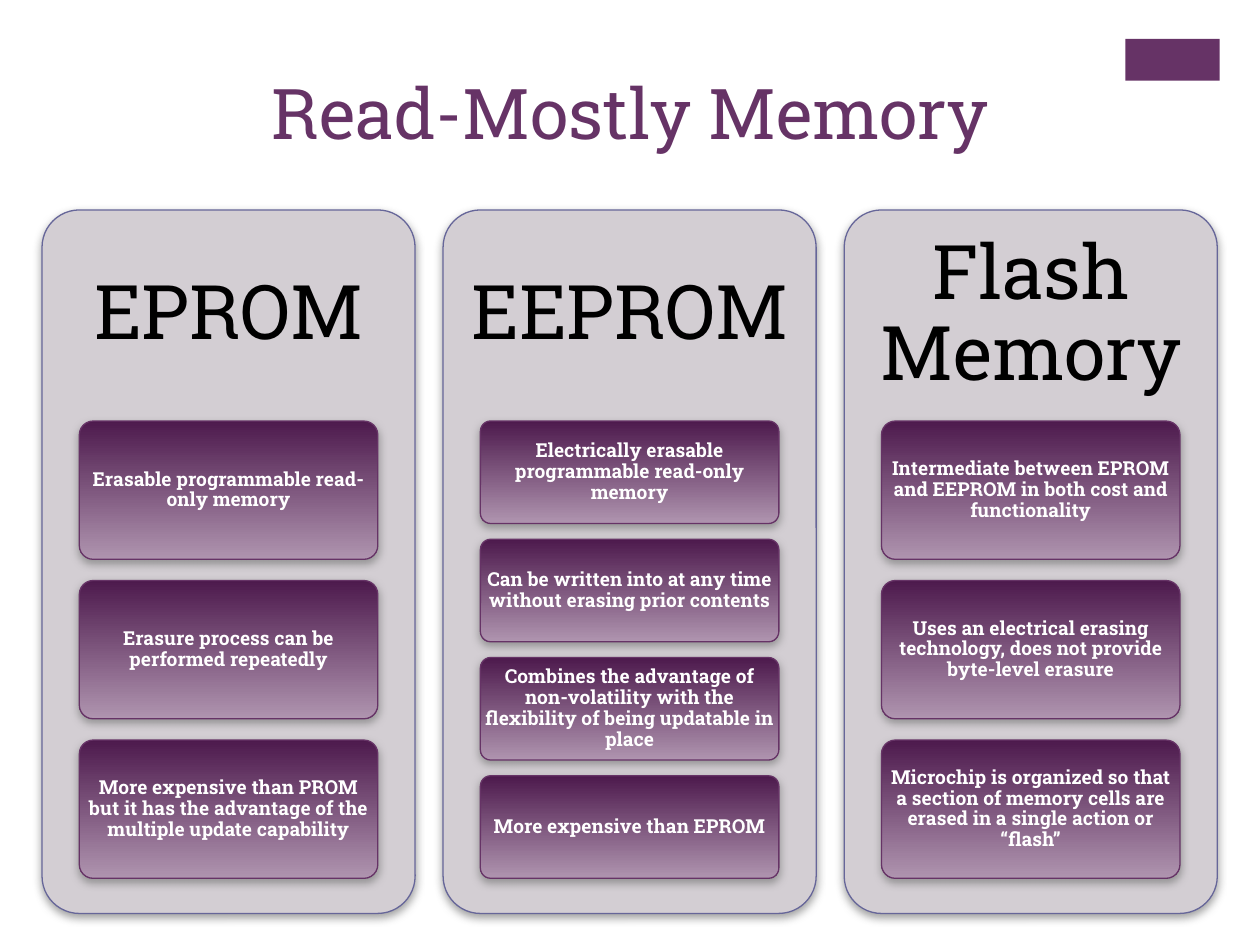
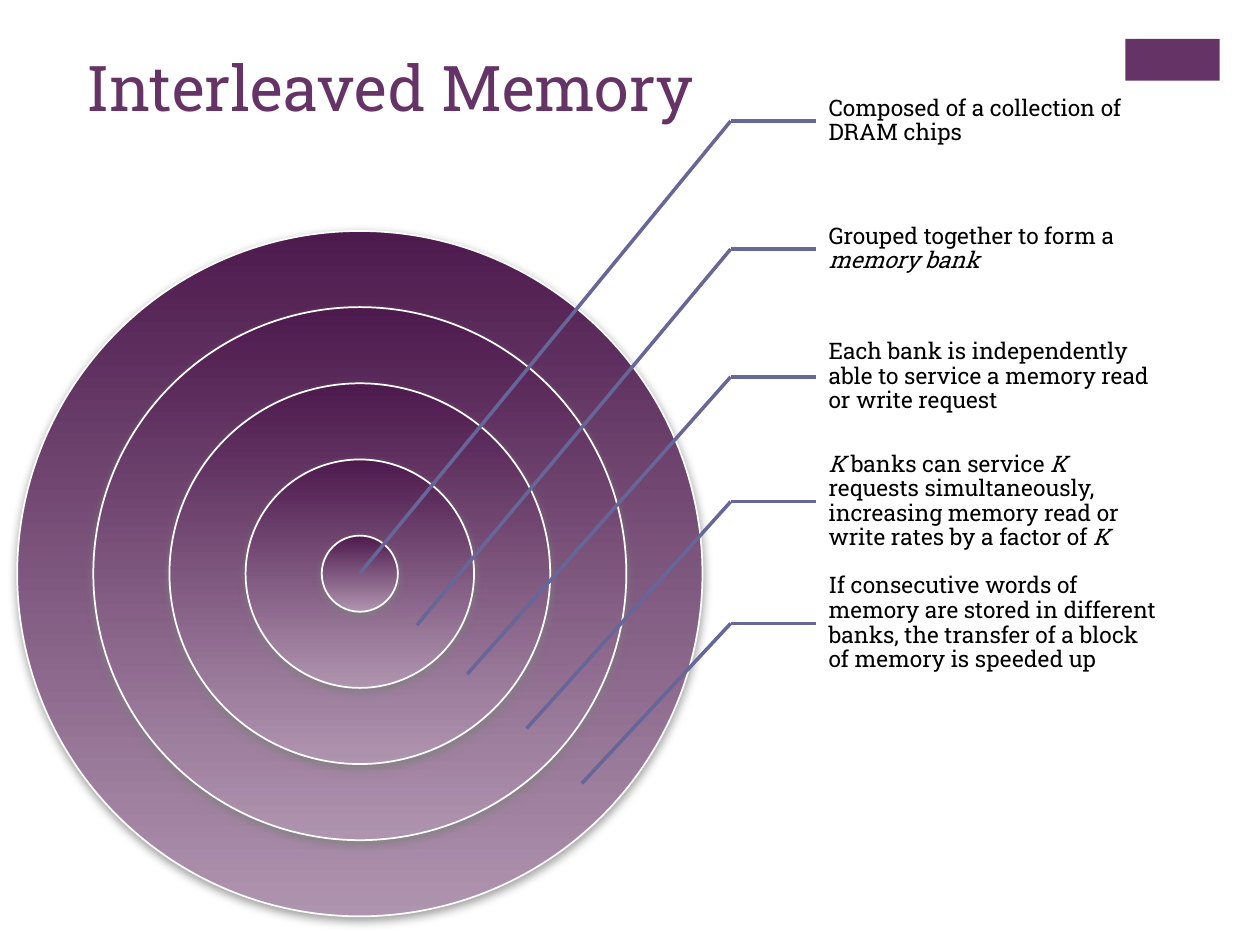
import pptx
import pptx.util
import pptx.dml.color
import pptx.enum.shapes
import pptx.enum.text
import pptx.oxml
import pptx.oxml.ns

Pt = pptx.util.Pt
SHAPE = pptx.enum.shapes.MSO_SHAPE
ALIGN = pptx.enum.text.PP_ALIGN
ANCHOR = pptx.enum.text.MSO_ANCHOR

# Shared style
FONT = "Roboto Slab"
PURPLE, DARK_PURPLE, LIGHT_PURPLE = "663366", "4D1A4D", "AF94AF"
SLATE, PANEL_GREY, SHADOW_GREY = "666699", "D3CED3", "808080"
WHITE, BLACK = "FFFFFF", "000000"

# Wording
MEMORY_TYPES = [
    ("EPROM", [
        "Erasable programmable read-only memory",
        "Erasure process can be performed repeatedly",
        "More expensive than PROM but it has the advantage of the multiple update capability",
    ]),
    ("EEPROM", [
        "Electrically erasable programmable read-only memory",
        "Can be written into at any time without erasing prior contents",
        "Combines the advantage of non-volatility with the flexibility of being updatable in place",
        "More expensive than EPROM",
    ]),
    ("Flash Memory", [
        "Intermediate between EPROM and EEPROM in both cost and functionality",
        "Uses an electrical erasing technology, does not provide byte-level erasure",
        "Microchip is organized so that a section of memory cells are erased "
        "in a single action or “flash”",
    ]),
]

# Label (asterisks enclose italics), height of its middle, pointer run and drop
CALLOUTS = [
    ("Composed of a collection of DRAM chips", 69.2, 211.8, 258.4),
    ("Grouped together to form a *memory bank*", 142.4, 179.3, 214.8),
    ("Each bank is independently able to service a memory read or write request",
     215.4, 150.5, 169.8),
    ("*K* banks can service *K* requests simultaneously, increasing memory read "
     "or write rates by a factor of *K*", 286.7, 116.6, 129.6),
    ("If consecutive words of memory are stored in different banks, "
     "the transfer of a block of memory is speeded up", 356.3, 85, 91.4),
]


def color(hex_code):
    return pptx.dml.color.RGBColor.from_string(hex_code)


def write(shape, text, size, ink=BLACK, bold=False, align=ALIGN.LEFT,
          anchor=ANCHOR.MIDDLE, margins=(0, 0, 0, 0), spacing=0.9):
    """Fill a shape with one paragraph; parts between asterisks are italic."""
    frame = shape.text_frame
    frame.word_wrap = True
    frame.auto_size = pptx.enum.text.MSO_AUTO_SIZE.NONE
    frame.vertical_anchor = anchor
    (frame.margin_left, frame.margin_top,
     frame.margin_right, frame.margin_bottom) = map(Pt, margins)
    paragraph = frame.paragraphs[0]
    paragraph.alignment = align
    paragraph.line_spacing = spacing
    for index, part in enumerate(text.split("*")):
        if part:
            run = paragraph.add_run()
            run.text = part
            run.font.name = FONT
            run.font.size = Pt(size)
            run.font.bold = bold
            run.font.italic = index % 2 == 1
            run.font.color.rgb = color(ink)


def add_label(slide, left, top, width, height, text, **style):
    label = slide.shapes.add_textbox(Pt(left), Pt(top), Pt(width), Pt(height))
    write(label, text, **style)


def add_figure(slide, preset, left, top, width, height, fill=None,
               line=None, line_width=0.75, shadow=True):
    """Add a preset shape; without a fill colour it gets the purple gradient."""
    figure = slide.shapes.add_shape(preset, Pt(left), Pt(top), Pt(width), Pt(height))
    if fill:
        figure.fill.solid()
        figure.fill.fore_color.rgb = color(fill)
    else:
        figure.fill.gradient()
        figure.fill.gradient_angle = 270
        for stop, shade in zip(figure.fill.gradient_stops, (DARK_PURPLE, LIGHT_PURPLE)):
            stop.color.rgb = color(shade)
    if line:
        figure.line.color.rgb = color(line)
        figure.line.width = Pt(line_width)
    else:
        figure.line.fill.background()
    if preset == SHAPE.ROUNDED_RECTANGLE:
        figure.adjustments[0] = 0.1
    figure.shadow.inherit = False
    if shadow:
        effects = figure._element.spPr.find(pptx.oxml.ns.qn("a:effectLst"))
        effects.append(pptx.oxml.parse_xml(
            f'<a:outerShdw {pptx.oxml.ns.nsdecls("a")} blurRad="{Pt(5)}" dist="{Pt(2)}" '
            f'dir="5400000" rotWithShape="0"><a:srgbClr val="{SHADOW_GREY}">'
            '<a:alpha val="75000"/></a:srgbClr></a:outerShdw>'))
    return figure


def add_pointer(slide, x1, y1, x2, y2):
    pointer = slide.shapes.add_connector(
        pptx.enum.shapes.MSO_CONNECTOR.STRAIGHT, Pt(x1), Pt(y1), Pt(x2), Pt(y2))
    pointer.line.color.rgb = color(SLATE)
    pointer.line.width = Pt(2)
    pointer._element.spPr.append(
        pptx.oxml.parse_xml(f'<a:effectLst {pptx.oxml.ns.nsdecls("a")}/>'))


def start_slide(deck, heading, left, top, width, height, **style):
    """Title-only slide with the corner band and a placed title."""
    slide = deck.slides.add_slide(deck.slide_layouts[5])
    add_figure(slide, SHAPE.RECTANGLE, 643, 22.3, 54, 23.8, fill=PURPLE, shadow=False)
    title = slide.shapes.title
    title.left, title.top, title.width, title.height = map(Pt, (left, top, width, height))
    write(title, heading, ink=PURPLE, anchor=ANCHOR.TOP,
          margins=(7.2, 3.6, 7.2, 3.6), spacing=1.0, **style)
    return slide


def memory_column(slide, left, top, width, height, name, facts):
    """Panel with a heading in the top 30 % and cards in the next 65 %."""
    add_figure(slide, SHAPE.ROUNDED_RECTANGLE, left, top, width, height,
               fill=PANEL_GREY, line=SLATE)
    add_label(slide, left, top, width, height * 0.3, name,
              size=43, align=ALIGN.CENTER, margins=(13, 13, 13, 13))
    gap_share = 2 / 13
    card_height = height * 0.65 / (len(facts) + gap_share * (len(facts) - 1))
    for row, fact in enumerate(facts):
        card_top = top + height * 0.3 + row * card_height * (1 + gap_share)
        card = add_figure(slide, SHAPE.ROUNDED_RECTANGLE, left + width * 0.1, card_top,
                          width * 0.8, card_height, line=PURPLE)
        write(card, fact, size=11, ink=WHITE, bold=True, align=ALIGN.CENTER)


def nested_rings(slide, left, top, size, count):
    """Concentric circles, the innermost radius being half of each ring's width."""
    step = size / (2 * count - 1)
    for ring in range(count):
        diameter = size - 2 * step * ring
        add_figure(slide, SHAPE.OVAL, left + step * ring, top + step * ring,
                   diameter, diameter, line=WHITE, line_width=1)


def callout(slide, left, middle, text, run, drop):
    """Label with a level pointer that bends down and left into the rings."""
    label_left, label_height = left + 49, 69
    add_label(slide, label_left, middle - label_height / 2, 195.8, label_height, text,
              size=13, margins=(7, 1.6, 1.6, 1.6))
    add_pointer(slide, left, middle, label_left, middle)
    add_pointer(slide, left, middle, left - run, middle + drop)


def read_mostly_slide(deck):
    slide = start_slide(deck, "Read-Mostly Memory", 0, 36, 720, 78.5,
                        size=40, align=ALIGN.CENTER)
    for column, (name, facts) in enumerate(MEMORY_TYPES):
        memory_column(slide, 24 + 229.2 * column, 120, 213.2, 402, name, facts)


def interleaved_slide(deck):
    slide = start_slide(deck, "Interleaved Memory", 42, 24, 594.7, 87.8, size=36)
    nested_rings(slide, 9.8, 132, 391.6, len(CALLOUTS))
    for text, middle, run, drop in CALLOUTS:
        callout(slide, 417.5, middle, text, run, drop)


def main():
    deck = pptx.Presentation()
    deck.slide_width, deck.slide_height = Pt(720), Pt(540)
    read_mostly_slide(deck)
    interleaved_slide(deck)
    deck.save("out.pptx")


if __name__ == "__main__":
    main()
